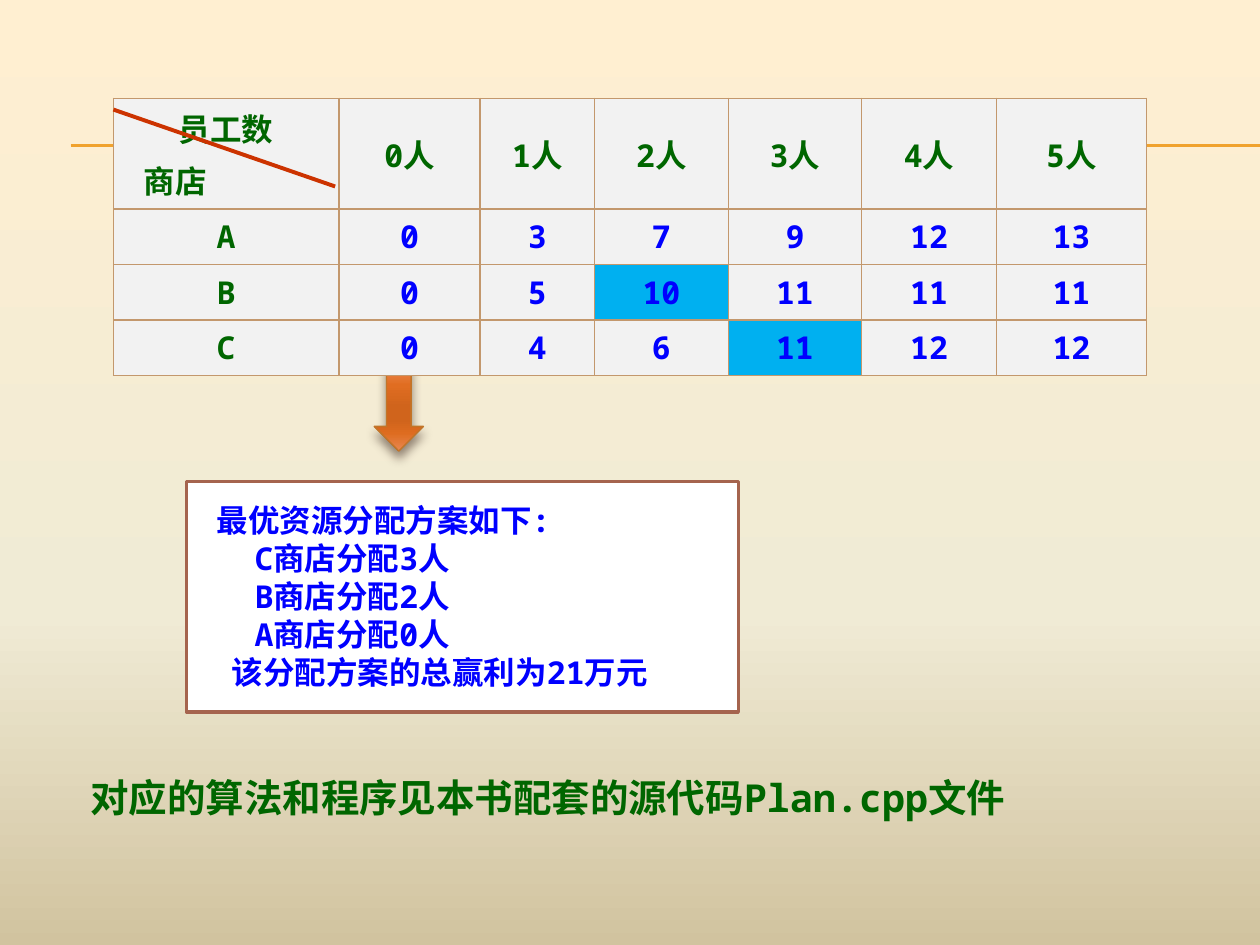
"""Build the slide showing the optimal staff allocation for three shops."""
import pptx
import pptx.dml.color
import pptx.enum.shapes
import pptx.enum.text
import pptx.oxml
import pptx.oxml.ns
import pptx.util

Inches, Pt = pptx.util.Inches, pptx.util.Pt
Align = pptx.enum.text.PP_ALIGN
Anchor = pptx.enum.text.MSO_ANCHOR
Shapes = pptx.enum.shapes.MSO_SHAPE

FONT = "Noto Sans Mono"
COLORS = {
    "green": "006600", "blue": "0000FF", "cell": "F2F2F2", "chosen": "00B0F0",
    "border": "C3986D", "rule": "F0A22E", "diagonal": "CC3300", "white": "FFFFFF",
    "box_line": "A5644E", "arrow_line": "C17529", "shadow": "4E3B30",
}
BACKGROUND_STOPS = [(0, "FFEFD1"), (65, "F0EBD5"), (100, "D1C39F")]
ARROW_STOPS = [(0, "EE8F5B"), (25, "E06D21"), (50, "D0641C"),
               (65, "D0641C"), (80, "DE6C20"), (100, "E88852")]

CORNER = [("员工数", 0.42), ("商店", 0.14)]
HEADER = [f"{count}人" for count in range(6)]
PROFITS = [("A", 0, 3, 7, 9, 12, 13), ("B", 0, 5, 10, 11, 11, 11), ("C", 0, 4, 6, 11, 12, 12)]
CHOSEN = {(2, 3), (3, 4)}
COLUMN_WIDTHS = [1.79, 1.12, 0.91, 1.06, 1.06, 1.07, 1.19]
ROW_HEIGHTS = [0.7, 0.4, 0.4, 0.4]
PLAN = [("最优资源分配方案如下:", 0), ("C商店分配3人", 0.3), ("B商店分配2人", 0.3),
        ("A商店分配0人", 0.3), ("该分配方案的总赢利为21万元", 0.12)]
FOOTNOTE = [("对应的算法和程序见本书配套的源代码Plan.cpp文件", 0)]
RULES = [(0.56, 1.15, 10, 1.15), (0.56, 1.16, 10, 1.16)]
DIAGONAL = (0.9, 0.87, 2.66, 1.48)


def rgb(name):
    return pptx.dml.color.RGBColor.from_string(COLORS[name])


def drawing_xml(tag, content="", attributes=""):
    return pptx.oxml.parse_xml(
        f'<a:{tag} {pptx.oxml.ns.nsdecls("a")} {attributes}>{content}</a:{tag}>')


def set_gradient(fill, element, stops):
    fill.gradient()
    fill.gradient_angle = 270
    stop_list = next(element.iter(pptx.oxml.ns.qn("a:gsLst")))
    content = "".join(f'<a:gs pos="{position * 1000}"><a:srgbClr val="{color}"/></a:gs>'
                      for position, color in stops)
    stop_list.getparent().replace(stop_list, drawing_xml("gsLst", content))


def set_lines(text_frame, lines, size, color, alignment=Align.LEFT, space_before=0):
    text_frame.text = "\n".join(text for text, indent in lines)
    for paragraph, (text, indent) in zip(text_frame.paragraphs, lines):
        paragraph.alignment = alignment
        paragraph.space_before = Pt(space_before)
        if indent:
            properties = paragraph._p.get_or_add_pPr()
            properties.set("marL", str(Inches(indent)))
            properties.set("indent", "0")
        for run in paragraph.runs:
            run.font.name, run.font.size, run.font.bold = FONT, Pt(size), True
            run.font.color.rgb = rgb(color)


def add_line(slide, ends, color, width):
    line = slide.shapes.add_connector(
        pptx.enum.shapes.MSO_CONNECTOR.STRAIGHT, *map(Inches, ends))
    line.line.color.rgb, line.line.width = rgb(color), Pt(width)
    line._element.spPr.append(drawing_xml("effectLst"))


def add_shape(slide, kind, bounds, line_color, line_width):
    shape = slide.shapes.add_shape(kind, *map(Inches, bounds))
    shape.shadow.inherit = False
    shape.line.color.rgb, shape.line.width = rgb(line_color), Pt(line_width)
    return shape


def set_borders(cell):
    content = f'<a:solidFill><a:srgbClr val="{COLORS["border"]}"/></a:solidFill>'
    for index, side in enumerate(("lnL", "lnR", "lnT", "lnB")):
        border = drawing_xml(side, content, f'w="{Pt(0.79)}"')
        cell._tc.get_or_add_tcPr().insert(index, border)


def add_profit_table(slide):
    rows = [[None, *HEADER], *PROFITS]
    frame = slide.shapes.add_table(
        len(rows), len(COLUMN_WIDTHS), Inches(0.9), Inches(0.78),
        Inches(sum(COLUMN_WIDTHS)), Inches(sum(ROW_HEIGHTS)))
    table = frame.table
    for column, width in zip(table.columns, COLUMN_WIDTHS):
        column.width = Inches(width)
    for row, height in zip(table.rows, ROW_HEIGHTS):
        row.height = Inches(height)
    for row_index, values in enumerate(rows):
        for column_index, value in enumerate(values):
            cell = table.cell(row_index, column_index)
            cell.fill.solid()
            chosen = (row_index, column_index) in CHOSEN
            cell.fill.fore_color.rgb = rgb("chosen" if chosen else "cell")
            set_borders(cell)
            if value is None:
                set_lines(cell.text_frame, CORNER, 18, "green", space_before=4)
                continue
            heading = row_index == 0 or column_index == 0
            set_lines(cell.text_frame, [(str(value), 0)], 18,
                      "green" if heading else "blue", Align.CENTER)
            cell.vertical_anchor = Anchor.MIDDLE if row_index == 0 else Anchor.TOP


def add_plan_box(slide):
    box = add_shape(slide, Shapes.RECTANGLE, (1.48, 3.82, 4.38, 1.83), "box_line", 2)
    box.fill.solid()
    box.fill.fore_color.rgb = rgb("white")
    frame = box.text_frame
    frame.word_wrap, frame.vertical_anchor = True, Anchor.TOP
    frame.margin_left = Inches(0.24)
    frame.margin_top = frame.margin_bottom = Inches(0.16)
    set_lines(frame, PLAN, 18, "blue")


def add_arrow(slide):
    arrow = add_shape(slide, Shapes.DOWN_ARROW, (2.97, 2.88, 0.39, 0.7), "arrow_line", 0.79)
    set_gradient(arrow.fill, arrow._element, ARROW_STOPS)
    shadow = (f'<a:outerShdw blurRad="{Pt(6)}" dist="{Pt(4)}" dir="5400000" rotWithShape="0">'
              f'<a:srgbClr val="{COLORS["shadow"]}"><a:alpha val="60000"/></a:srgbClr>'
              '</a:outerShdw>')
    effects = arrow._element.spPr.find(pptx.oxml.ns.qn("a:effectLst"))
    effects.getparent().replace(effects, drawing_xml("effectLst", shadow))


def main():
    presentation = pptx.Presentation()
    presentation.slide_width, presentation.slide_height = Inches(10), Inches(7.5)
    slide = presentation.slides.add_slide(presentation.slide_layouts[6])
    set_gradient(slide.background.fill, slide._element, BACKGROUND_STOPS)
    for ends in RULES:
        add_line(slide, ends, "rule", 0.75)
    add_plan_box(slide)
    add_arrow(slide)
    add_profit_table(slide)
    add_line(slide, DIAGONAL, "diagonal", 2.25)
    footnote = slide.shapes.add_textbox(*map(Inches, (0.62, 6.09, 8.13, 0.47)))
    footnote.text_frame.word_wrap = True
    set_lines(footnote.text_frame, FOOTNOTE, 22, "green")
    presentation.save("out.pptx")


if __name__ == "__main__":
    main()
